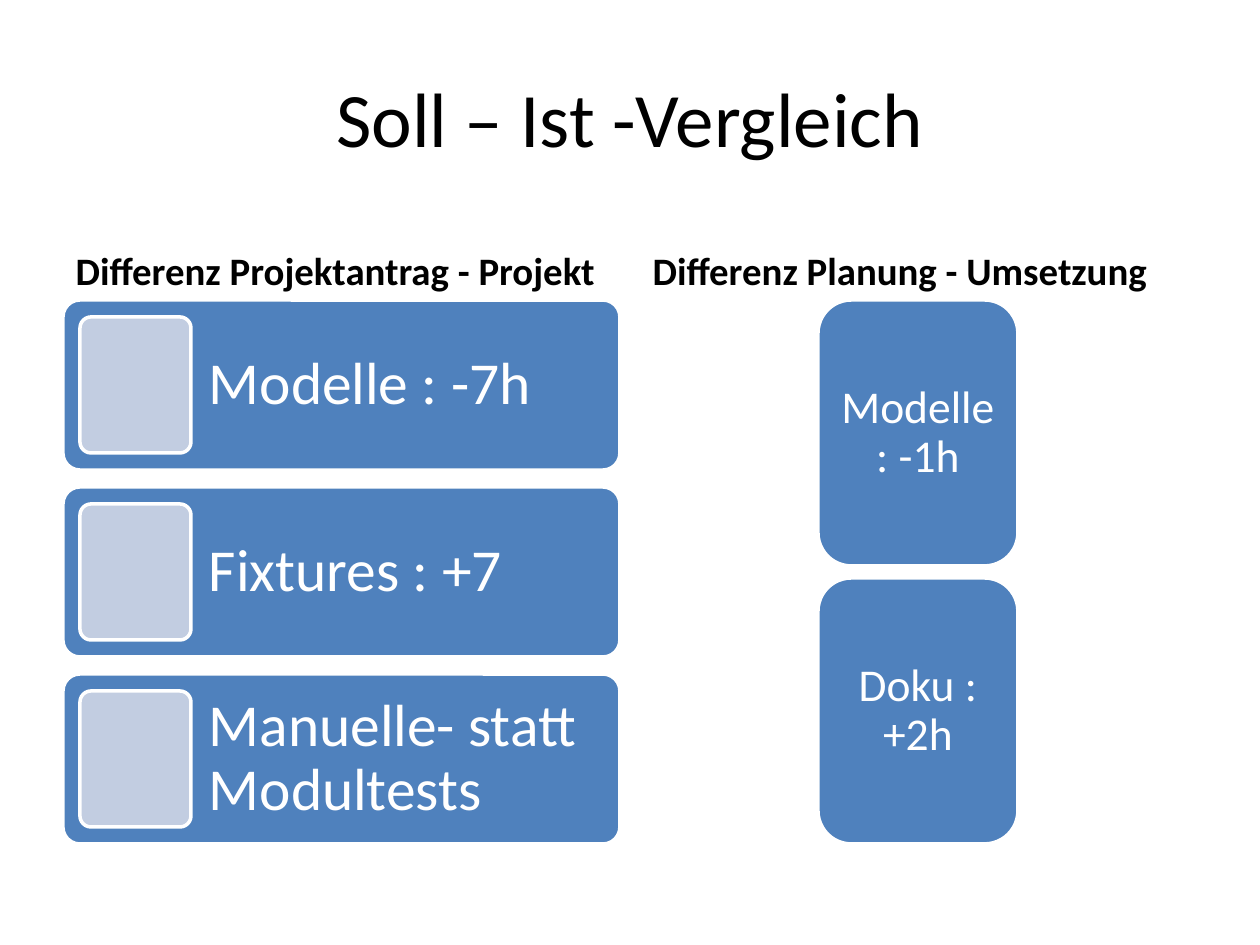
from dataclasses import dataclass

from pptx import Presentation
from pptx import util as u
from pptx.dml.color import RGBColor
from pptx.enum import shapes, text


@dataclass(frozen=True)
class Theme:
    font: str = "Calibri"
    ink: str = "000000"
    paper: str = "FFFFFF"
    blue: str = "4F81BD"
    pale: str = "C2CDE1"
    title: float = 44
    head: float = 22.2
    row: float = 34
    pill: float = 26
    line: float = 2


def px(n):
    return u.Emu(round(n * 914400 / 126))


class Deck:
    def __init__(self, theme):
        self.theme = theme
        self.prs = Presentation()
        self.prs.slide_width, self.prs.slide_height = px(1260), px(945)

    def start(self, layout):
        self.slide = self.prs.slides.add_slide(self.prs.slide_layouts[layout])

    def label(self, shape, words, size, color, align, anchor, bold=False):
        frame = shape.text_frame
        frame.word_wrap = True
        frame.auto_size = text.MSO_AUTO_SIZE.NONE
        frame.vertical_anchor = anchor
        para = frame.paragraphs[0]
        para.alignment = align
        run = para.add_run()
        run.text = words
        font = run.font
        font.name, font.size, font.bold = self.theme.font, u.Pt(size), bold
        font.color.rgb = RGBColor.from_string(color)
        return frame

    def holder(self, idx, box, words, size, align, anchor, bold=False):
        """Move and fill one of the layout's placeholders."""
        shape = self.slide.placeholders[idx]
        shape.left, shape.top, shape.width, shape.height = map(px, box)
        self.label(shape, words, size, self.theme.ink, align, anchor, bold)

    def prune(self):
        """Remove the placeholders left empty."""
        for shape in list(self.slide.placeholders):
            if not shape.text_frame.text:
                shape.element.getparent().remove(shape.element)

    def round(self, box, fill, adj):
        shape = self.slide.shapes.add_shape(
            shapes.MSO_SHAPE.ROUNDED_RECTANGLE, *map(px, box))
        shape.adjustments[0] = adj
        shape.shadow.inherit = False
        shape.fill.solid()
        shape.fill.fore_color.rgb = RGBColor.from_string(fill)
        shape.line.color.rgb = RGBColor.from_string(self.theme.paper)
        shape.line.width = u.Pt(self.theme.line)
        return shape

    def card(self, box, words, size, align, adj, left, right):
        """Draw a blue card with its label inset from left and right."""
        shape = self.round(box, self.theme.blue, adj)
        frame = self.label(shape, words, size, self.theme.paper, align,
                           text.MSO_ANCHOR.MIDDLE)
        frame.margin_left, frame.margin_right = px(left), px(right)
        frame.margin_top = frame.margin_bottom = 0
        frame.paragraphs[0].line_spacing = 0.9


def main():
    theme = Theme()
    deck = Deck(theme)
    left, center = text.PP_ALIGN.LEFT, text.PP_ALIGN.CENTER
    deck.start(4)
    deck.holder(0, (63, 38, 1134, 157), "Soll – Ist -Vergleich",
                theme.title, center, text.MSO_ANCHOR.MIDDLE)
    heads = ((1, 63, "Differenz Projektantrag - Projekt"),
             (3, 640, "Differenz Planung - Umsetzung"))
    for idx, x, words in heads:
        deck.holder(idx, (x, 212, 557, 88), words, theme.head, left,
                    text.MSO_ANCHOR.BOTTOM, bold=True)
    deck.prune()

    top = 300
    rows = ("Modelle : -7h", "Fixtures : +7", "Manuelle- statt Modultests")
    for i, words in enumerate(rows):
        y = top + i * 187
        deck.card((63, y, 557, 170), words, theme.row, left, 0.1, 141, 13)
        deck.round((80, y + 17, 111, 136), theme.pale, 0.1)

    for i, words in enumerate(("Modelle : -1h", "Doku : +2h")):
        deck.card((818, top + i * 278, 200, 266), words, theme.pill,
                  center, 0.1667, 4, 4)
    deck.prs.save("out.pptx")


if __name__ == "__main__":
    main()
